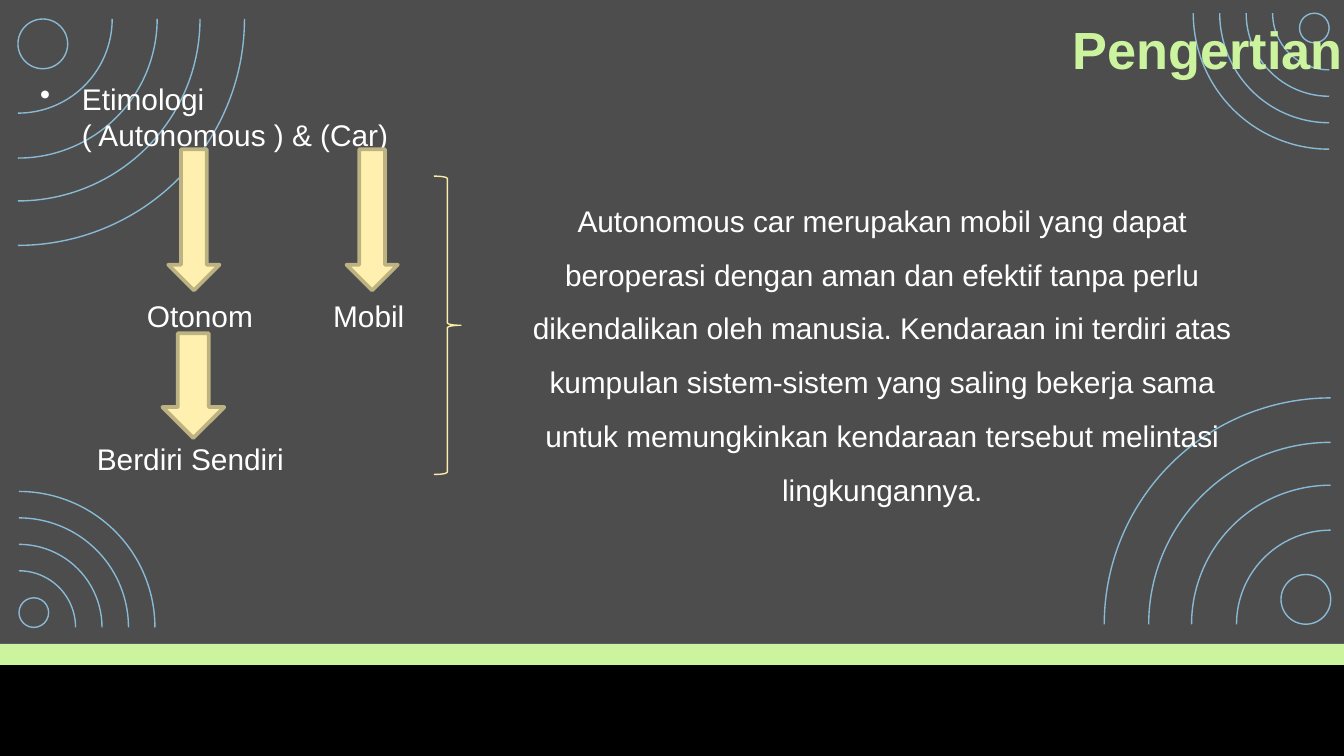
"""Build the slide that defines the autonomous car."""
from dataclasses import dataclass

from pptx import Presentation
from pptx.dml import color
from pptx.enum import shapes, text
from pptx.oxml import ns
from pptx.util import Cm, Pt
from lxml import etree

RGB = color.RGBColor.from_string
KIND = shapes.MSO_SHAPE
ALIGN = text.PP_ALIGN
ANCHOR = text.MSO_ANCHOR


@dataclass(frozen=True)
class Theme:
    """Colours and type sizes."""
    font: str = "Arial"
    back: str = "4D4D4D"
    base: str = "000000"
    lime: str = "CCF49F"
    ring: str = "89BAD5"
    sand: str = "FFF0AF"
    edge: str = "BDB281"
    brace: str = "FBECA9"
    ink: str = "FFFFFF"
    head: int = 28
    body: int = 16
    thin: float = 0.75
    thick: float = 2


@dataclass(frozen=True)
class Box:
    """Place and size in centimetres."""
    x: float
    y: float
    w: float
    h: float

    def span(self) -> tuple:
        return Cm(self.x), Cm(self.y), Cm(self.w), Cm(self.h)


@dataclass(frozen=True)
class Rings:
    """Quarter circles round a corner, with a small circle inside."""
    x: float
    y: float
    right: int
    down: int
    turn: int
    radii: tuple
    dot: float


@dataclass(frozen=True)
class Label:
    """A short word centred on a point."""
    words: str
    x: float
    y: float


THEME = Theme()
LARGE = (4.28, 3.44, 2.63, 1.78)
SMALL = (2.57, 2.07, 1.57, 1.07)
BARS = ((Box(0, 12.52, 25.4, 1.77), THEME.base),
        (Box(0, 12.17, 25.4, 0.4), THEME.lime))
CORNERS = (Rings(25.12, 0.25, -1, 1, 180, SMALL, 0.28),
           Rings(0.34, 0.36, 1, 1, 90, LARGE, 0.47),
           Rings(0.36, 11.86, 1, -1, 0, SMALL, 0.28),
           Rings(25.15, 11.8, -1, -1, 270, LARGE, 0.47))
ARROWS = (Box(3.18, 2.82, 0.97, 2.67),
          Box(6.55, 2.82, 0.97, 2.67),
          Box(3.07, 6.3, 1.17, 1.98))
LABELS = (Label("Otonom", 3.78, 5.97),
          Label("Mobil", 6.97, 5.97),
          Label("Berdiri Sendiri", 3.6, 8.67))
TERMS = "Etimologi\v( Autonomous ) & (Car)"
MEANING = ("Autonomous car merupakan mobil yang dapat beroperasi dengan aman "
           "dan efektif tanpa perlu dikendalikan oleh manusia. Kendaraan ini "
           "terdiri atas kumpulan sistem-sistem yang saling bekerja sama untuk "
           "memungkinkan kendaraan tersebut melintasi lingkungannya.")


def draw(slide, kind, box: Box, fill: str = "", line: str = "",
         width: float = THEME.thin, turn: int = 0):
    """Add a preset shape with flat colours."""
    shape = slide.shapes.add_shape(kind, *box.span())
    shape.shadow.inherit = False
    shape.rotation = turn
    if fill:
        shape.fill.solid()
        shape.fill.fore_color.rgb = RGB(fill)
    else:
        shape.fill.background()
    if line:
        shape.line.color.rgb = RGB(line)
        shape.line.width = Pt(width)
    else:
        shape.line.fill.background()
    return shape


def disc(x: float, y: float, r: float) -> Box:
    """Give the square round a circle."""
    return Box(x - r, y - r, 2 * r, 2 * r)


def corner(slide, rings: Rings) -> None:
    """Draw one set of rings."""
    for r in rings.radii:
        draw(slide, KIND.ARC, disc(rings.x, rings.y, r),
             line=THEME.ring, turn=rings.turn)
    x = rings.x + rings.right * rings.dot
    y = rings.y + rings.down * rings.dot
    draw(slide, KIND.OVAL, disc(x, y, rings.dot), line=THEME.ring)


def style(para, size: int, ink: str, align, bold: bool = False) -> None:
    """Set the look of a paragraph."""
    para.alignment = align
    font = para.font
    font.name, font.size, font.bold = THEME.font, Pt(size), bold
    font.color.rgb = RGB(ink)


def write(slide, box: Box, words: str, align=ALIGN.CENTER, anchor=ANCHOR.TOP):
    """Add a body text box and return its paragraph."""
    frame = slide.shapes.add_textbox(*box.span()).text_frame
    frame.word_wrap = True
    frame.vertical_anchor = anchor
    para = frame.paragraphs[0]
    para.text = words
    style(para, THEME.body, THEME.ink, align)
    return para


def bullet(para, indent: float) -> None:
    """Give a paragraph a hanging bullet."""
    props = para._p.get_or_add_pPr()
    props.set("marL", str(Cm(indent)))
    props.set("indent", str(-Cm(indent)))
    mark = etree.Element(ns.qn("a:buChar"), char="•")
    props.insert(0, mark)


def title(slide, words: str) -> None:
    """Fill the title and bring it to the front."""
    shape = slide.shapes.title
    box = Box(13.49, -0.46, 12.14, 1.98)
    shape.left, shape.top, shape.width, shape.height = box.span()
    frame = shape.text_frame
    frame.text = words
    frame.vertical_anchor = ANCHOR.BOTTOM
    frame.margin_top = frame.margin_bottom = 0
    style(frame.paragraphs[0], THEME.head, THEME.lime, ALIGN.RIGHT, True)
    shape._element.getparent().append(shape._element)


def main() -> None:
    """Build and save the deck."""
    deck = Presentation()
    deck.slide_width, deck.slide_height = Cm(25.4), Cm(14.29)
    slide = deck.slides.add_slide(deck.slide_layouts[5])
    slide.background.fill.solid()
    slide.background.fill.fore_color.rgb = RGB(THEME.back)
    for box, fill in BARS:
        draw(slide, KIND.RECTANGLE, box, fill)
    for rings in CORNERS:
        corner(slide, rings)
    title(slide, "Pengertian")
    terms = write(slide, Box(0.51, 1.4, 9.55, 1.6), TERMS, ALIGN.LEFT)
    bullet(terms, 0.79)
    for label in LABELS:
        write(slide, Box(label.x - 2.5, label.y - 0.5, 5, 1), label.words,
              anchor=ANCHOR.MIDDLE)
    for box in ARROWS:
        draw(slide, KIND.DOWN_ARROW, box, THEME.sand, THEME.edge, THEME.thick)
    meaning = write(slide, Box(9.6, 3.37, 14.15, 6.97), MEANING)
    meaning.line_spacing = 1.5
    draw(slide, KIND.RIGHT_BRACE, Box(8.2, 3.33, 0.51, 5.64), line=THEME.brace)
    deck.save("out.pptx")


if __name__ == "__main__":
    main()
